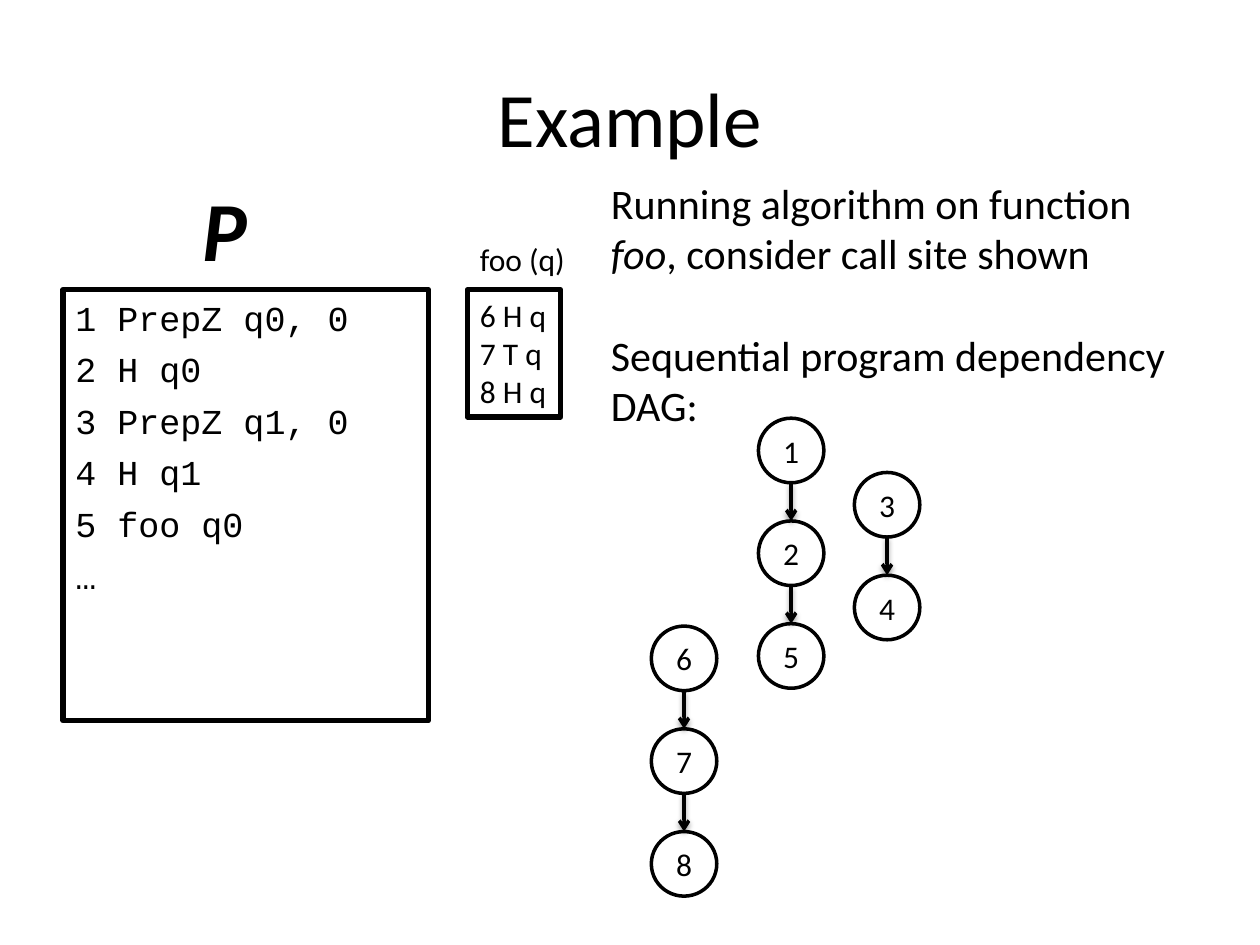
import pptx
import pptx.dml.color
import pptx.enum.shapes
import pptx.enum.text
import pptx.oxml
import pptx.oxml.ns
import pptx.util

Pt = pptx.util.Pt
SHAPES = pptx.enum.shapes.MSO_SHAPE
ALIGN = pptx.enum.text.PP_ALIGN
ANCHOR = pptx.enum.text.MSO_ANCHOR
FIT = pptx.enum.text.MSO_AUTO_SIZE

SHADOW = (
    f'<a:effectLst {pptx.oxml.ns.nsdecls("a")}>'
    '<a:outerShdw blurRad="39370" dist="20320" dir="5400000" rotWithShape="0">'
    '<a:srgbClr val="000000"><a:alpha val="38000"/></a:srgbClr>'
    '</a:outerShdw></a:effectLst>'
)
ARROWHEAD = f'<a:tailEnd {pptx.oxml.ns.nsdecls("a")} type="arrow"/>'


def color(value):
    return pptx.dml.color.RGBColor.from_string(value)


class SlideBuilder:
    """Holds the style and the current slide."""

    font = "Calibri"
    ink = "000000"
    paper = "FFFFFF"
    node_size = (37.4, 36.9)

    def __init__(self, page):
        self.page = page

    def style(self, para, size, font=None):
        para.font.name = font or self.font
        para.font.size = Pt(size)
        para.font.color.rgb = color(self.ink)

    def title(self, text, *place):
        box = self.page.shapes.title
        box.left, box.top, box.width, box.height = map(Pt, place)
        box.text_frame.text = text
        box.text_frame.vertical_anchor = ANCHOR.MIDDLE
        para = box.text_frame.paragraphs[0]
        para.alignment = ALIGN.CENTER
        self.style(para, 44)

    def text(self, lines, place, size, font=None, wrap=True, gap=0, border=0):
        """Each line is a string or a list of (text, italic) spans."""
        box = self.page.shapes.add_textbox(*map(Pt, place))
        if border:
            box.line.color.rgb = color(self.ink)
            box.line.width = Pt(border)
        frame = box.text_frame
        frame.word_wrap = wrap
        frame.auto_size = FIT.NONE
        for index, line in enumerate(lines):
            para = frame.add_paragraph() if index else frame.paragraphs[0]
            self.style(para, size, font)
            para.space_before = Pt(gap if index else 0)
            for words, italic in [(line, None)] if isinstance(line, str) else line:
                span = para.add_run()
                span.text = words
                span.font.italic = italic
        return box

    def node(self, label, left, top):
        oval = self.page.shapes.add_shape(
            SHAPES.OVAL, Pt(left), Pt(top), *map(Pt, self.node_size))
        oval.shadow.inherit = False
        oval.fill.solid()
        oval.fill.fore_color.rgb = color(self.paper)
        oval.line.color.rgb = color(self.ink)
        oval.line.width = Pt(2)
        frame = oval.text_frame
        frame.vertical_anchor = ANCHOR.MIDDLE
        frame.text = label
        para = frame.paragraphs[0]
        para.alignment = ALIGN.CENTER
        self.style(para, 18)
        return oval

    def arrow(self, upper, lower):
        middle = upper.left + upper.width // 2
        connector = self.page.shapes.add_connector(
            pptx.enum.shapes.MSO_CONNECTOR.STRAIGHT,
            middle, upper.top + upper.height, middle, lower.top)
        connector.line.color.rgb = color(self.ink)
        connector.line.width = Pt(2)
        properties = connector._element.spPr
        properties.find(pptx.oxml.ns.qn("a:ln")).append(pptx.oxml.parse_xml(ARROWHEAD))
        properties.append(pptx.oxml.parse_xml(SHADOW))

    def chain(self, labels, left, top, pitch=58.7):
        nodes = [self.node(label, left, top + pitch * row)
                 for row, label in enumerate(labels)]
        for upper, lower in zip(nodes, nodes[1:]):
            self.arrow(upper, lower)


def main():
    deck = pptx.Presentation()
    deck.slide_width, deck.slide_height = Pt(720), Pt(540)
    slide = SlideBuilder(deck.slides.add_slide(deck.slide_layouts[5]))

    slide.title("Example", 36, 21.6, 648, 90)

    # Program listing
    program = ["1 PrepZ q0, 0", "2 H q0", "3 PrepZ q1, 0", "4 H q1", "5 foo q0", "…"]
    slide.text(program, (36, 165.6, 208.8, 246.2), 20, "Courier New", gap=5.5, border=3)
    name = slide.text(["P"], (108.7, 97.9, 52.6, 65.5), 48, wrap=False)
    name.text_frame.paragraphs[0].font.bold = True
    name.text_frame.paragraphs[0].font.italic = True

    # Called function
    slide.text(["6 H q", "7 T q", "8 H q"], (267.1, 165.6, 53.3, 72.7), 18, border=3)
    slide.text(["foo (q)"], (267.1, 133.9, 64.1, 28.8), 18, wrap=False)

    # Explanation
    slide.text(
        [[("Running algorithm on function ", None), ("foo", True),
          (", consider call site shown", None)],
         "Sequential program dependency DAG:"],
        (342, 97.9, 342, 152.6), 24, gap=29)

    # Dependency graph
    slide.chain("125", 433.4, 239)
    slide.chain("34", 488.2, 270)
    slide.chain("678", 372.2, 357.8)

    deck.save("out.pptx")


if __name__ == "__main__":
    main()
